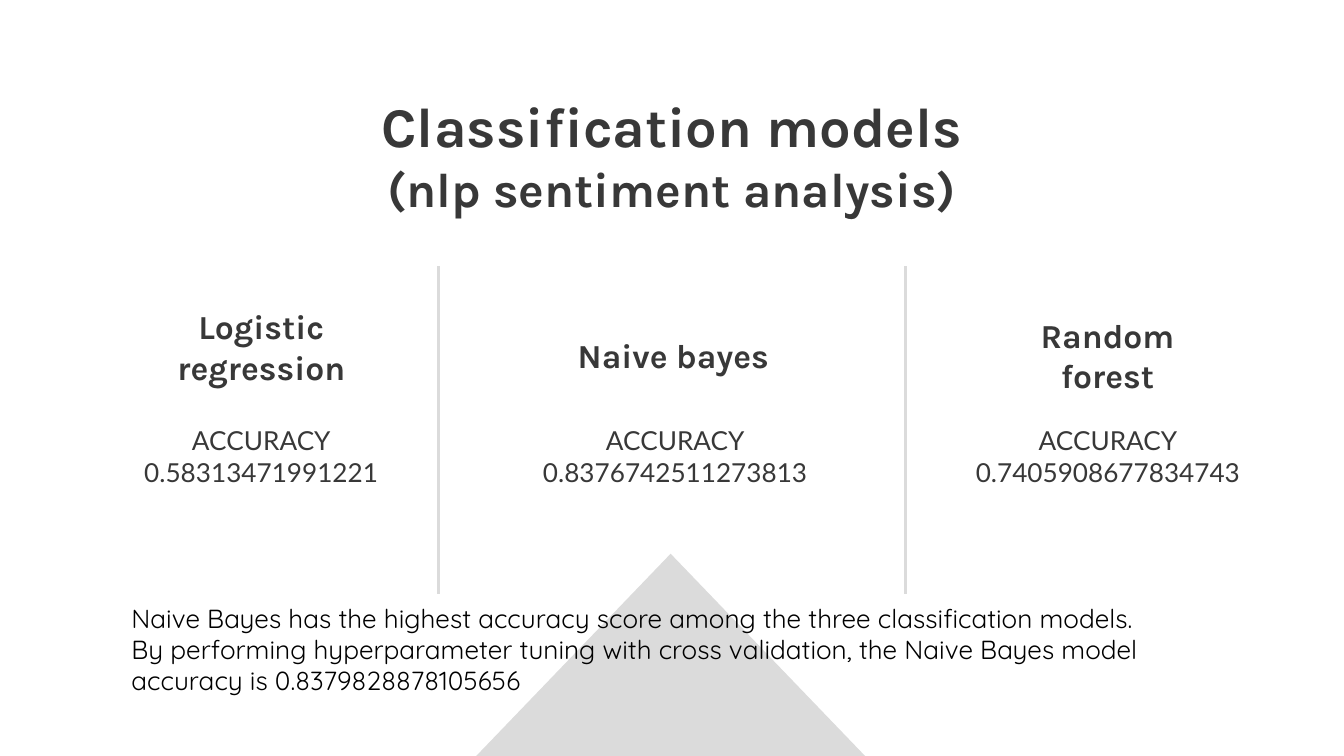
from pptx import Presentation
from pptx.dml.color import RGBColor
from pptx.enum import shapes, text
from pptx.oxml.ns import qn
from pptx.util import Inches, Pt
from lxml import etree

DARK = RGBColor(0x38, 0x38, 0x38)
BLACK = RGBColor(0, 0, 0)
GREY = RGBColor(0xDB, 0xDB, 0xDB)
CENTER, LEFT = text.PP_ALIGN.CENTER, text.PP_ALIGN.LEFT
TOP, MIDDLE = text.MSO_ANCHOR.TOP, text.MSO_ANCHOR.MIDDLE

prs = Presentation()
prs.slide_width = Inches(10)
prs.slide_height = prs.slide_width * 9 // 16
s = prs.slides.add_slide(prs.slide_layouts[6])


def add_text(box, lines, font, color=DARK, bold=False, align=CENTER, anchor=TOP):
    """Add a text box; lines holds one (text, size in points) pair per paragraph."""
    tf = s.shapes.add_textbox(*[Inches(v) for v in box]).text_frame
    tf.word_wrap = True
    tf.vertical_anchor = anchor
    tf.margin_left = tf.margin_right = tf.margin_top = tf.margin_bottom = Inches(0.1)
    for i, (line, size) in enumerate(lines):
        p = tf.add_paragraph() if i else tf.paragraphs[0]
        p.alignment = align
        r = p.add_run()
        r.text = line
        r.font.name, r.font.size, r.font.bold = font, Pt(size), bold
        r.font.color.rgb = color


# Background triangle
triangle = s.shapes.add_shape(shapes.MSO_SHAPE.ISOSCELES_TRIANGLE,
                              Inches(3.5), Inches(4.12), Inches(2.98), Inches(1.55))
triangle.shadow.inherit = False
triangle.fill.solid()
triangle.fill.fore_color.rgb = GREY
triangle.line.fill.background()

# Column dividers
for x in (3.26, 6.74):
    divider = s.shapes.add_connector(shapes.MSO_CONNECTOR.STRAIGHT,
                                     Inches(x), Inches(1.98), Inches(x), Inches(4.42))
    divider.line.color.rgb = GREY
    divider.line.width = Pt(1.5)
    etree.SubElement(divider._element.spPr, qn("a:effectLst"))

# Slide title
add_text((2.16, 0.58, 5.68, 0.58),
         [("Classification models", 30), ("(nlp sentiment analysis)", 26)],
         "Karla", bold=True)

# Model columns: heading lines, heading box, left edge of the score, score
models = [
    (["Logistic", "regression"], (1.03, 2.41, 1.83, 0.34), 0.58, "0.58313471991221"),
    (["Naive bayes"], (4.19, 2.47, 1.64, 0.34), 3.66, "0.8376742511273813"),
    (["Random forest"], (7.42, 2.47, 1.64, 0.34), 6.88, "0.7405908677834743"),
]
for heading, heading_box, score_left, score in models:
    add_text(heading_box, [(line, 18) for line in heading],
             "Karla", bold=True, anchor=MIDDLE)
    add_text((score_left, 3.06, 2.73, 0.67), [("ACCURACY", 14), (score, 14)], "Lato")

# Conclusion
add_text((0.88, 4.38, 8.24, 0.91), [
    ("Naive Bayes has the highest accuracy score among the three classification models.", 14),
    ("By performing hyperparameter tuning with cross validation, "
     "the Naive Bayes model accuracy is 0.8379828878105656", 14),
], "Quicksand", BLACK, align=LEFT)

prs.save("out.pptx")
